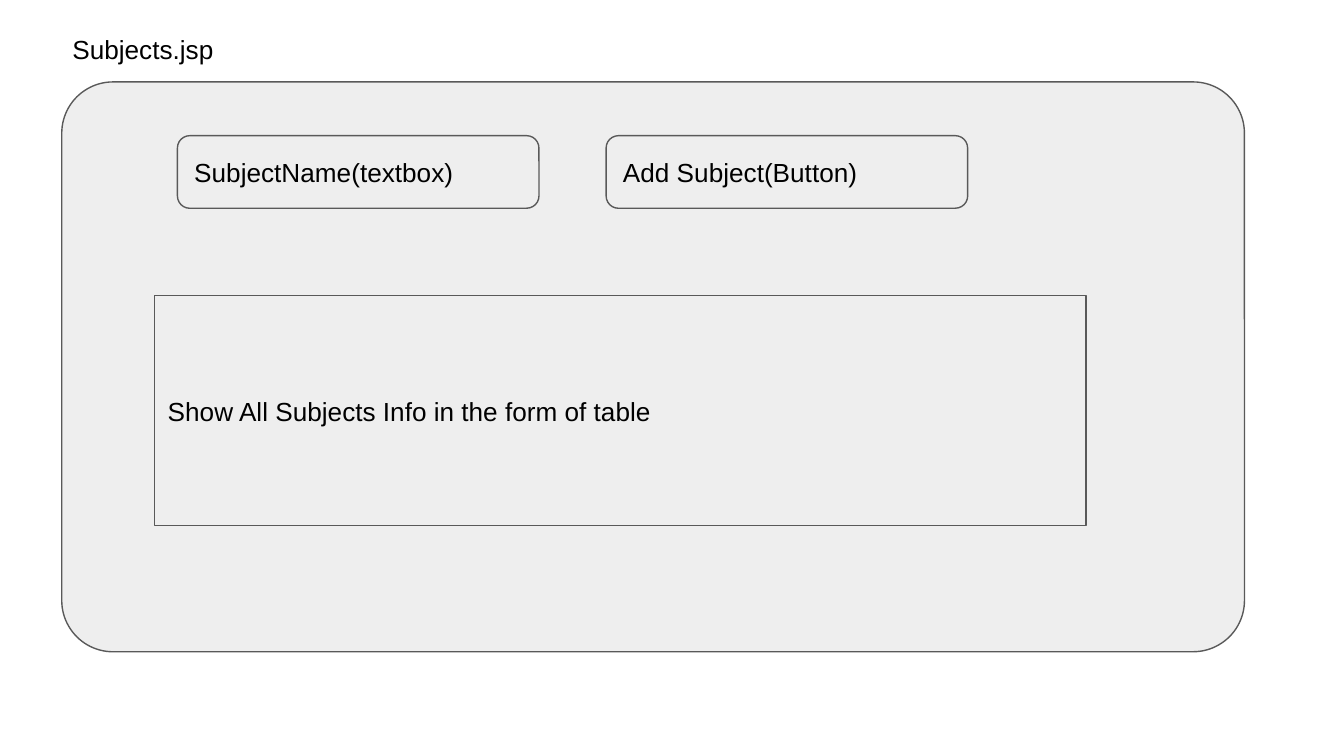
"""Build the wireframe slide of the subjects page."""
from dataclasses import dataclass

from pptx import Presentation
from pptx.dml.color import RGBColor as Color
from pptx.enum.shapes import MSO_SHAPE as Kind
from pptx.enum.text import MSO_ANCHOR as Anchor, MSO_AUTO_SIZE as Fit, PP_ALIGN as Align
from pptx.slide import Slide
from pptx.text.text import TextFrame
from pptx.util import Inches, Pt


@dataclass(frozen=True)
class Theme:
    fill: Color = Color.from_string("EEEEEE")
    line: Color = Color.from_string("595959")
    ink: Color = Color.from_string("000000")
    font: str = "Arial"
    size: float = 14
    width: float = 0.75
    inset: float = 0.1


@dataclass(frozen=True)
class Box:
    left: float
    top: float
    width: float
    height: float
    text: str = ""
    round: float = 0


theme = Theme()


def write(frame: TextFrame, text: str, anchor: Anchor) -> None:
    frame.word_wrap = True
    frame.vertical_anchor = anchor
    frame.margin_left = frame.margin_right = Inches(theme.inset)
    frame.margin_top = frame.margin_bottom = Inches(theme.inset)
    para = frame.paragraphs[0]
    para.alignment = Align.LEFT
    run = para.add_run()
    run.text = text
    run.font.name = theme.font
    run.font.size = Pt(theme.size)
    run.font.color.rgb = theme.ink


def place(box: Box) -> tuple[Inches, ...]:
    return tuple(Inches(n) for n in (box.left, box.top, box.width, box.height))


def draw(slide: Slide, box: Box) -> None:
    kind = Kind.ROUNDED_RECTANGLE if box.round else Kind.RECTANGLE
    shape = slide.shapes.add_shape(kind, *place(box))
    if box.round:
        shape.adjustments[0] = box.round
    shape.shadow.inherit = False
    shape.fill.solid()
    shape.fill.fore_color.rgb = theme.fill
    shape.line.color.rgb = theme.line
    shape.line.width = Pt(theme.width)
    if box.text:
        write(shape.text_frame, box.text, Anchor.MIDDLE)


def label(slide: Slide, box: Box) -> None:
    frame = slide.shapes.add_textbox(*place(box)).text_frame
    write(frame, box.text, Anchor.TOP)
    frame.auto_size = Fit.SHAPE_TO_FIT_TEXT


def main() -> None:
    deck = Presentation()
    deck.slide_width = Inches(10)
    deck.slide_height = Inches(10 * 9 / 16)
    slide = deck.slides.add_slide(deck.slide_layouts[6])
    page = Box(0.46, 0.61, 8.8, 4.24, round=0.09)
    names = ("SubjectName(textbox)", "Add Subject(Button)")
    fields = [Box(1.32 + 3.19 * i, 1.01, 2.69, 0.54, name, 0.17)
              for i, name in enumerate(names)]
    table = Box(1.15, 2.2, 6.93, 1.71, "Show All Subjects Info in the form of table")
    for box in (page, *fields, table):
        draw(slide, box)
    label(slide, Box(0.44, 0.15, 1.74, 0.44, "Subjects.jsp"))
    deck.save("out.pptx")


main()
